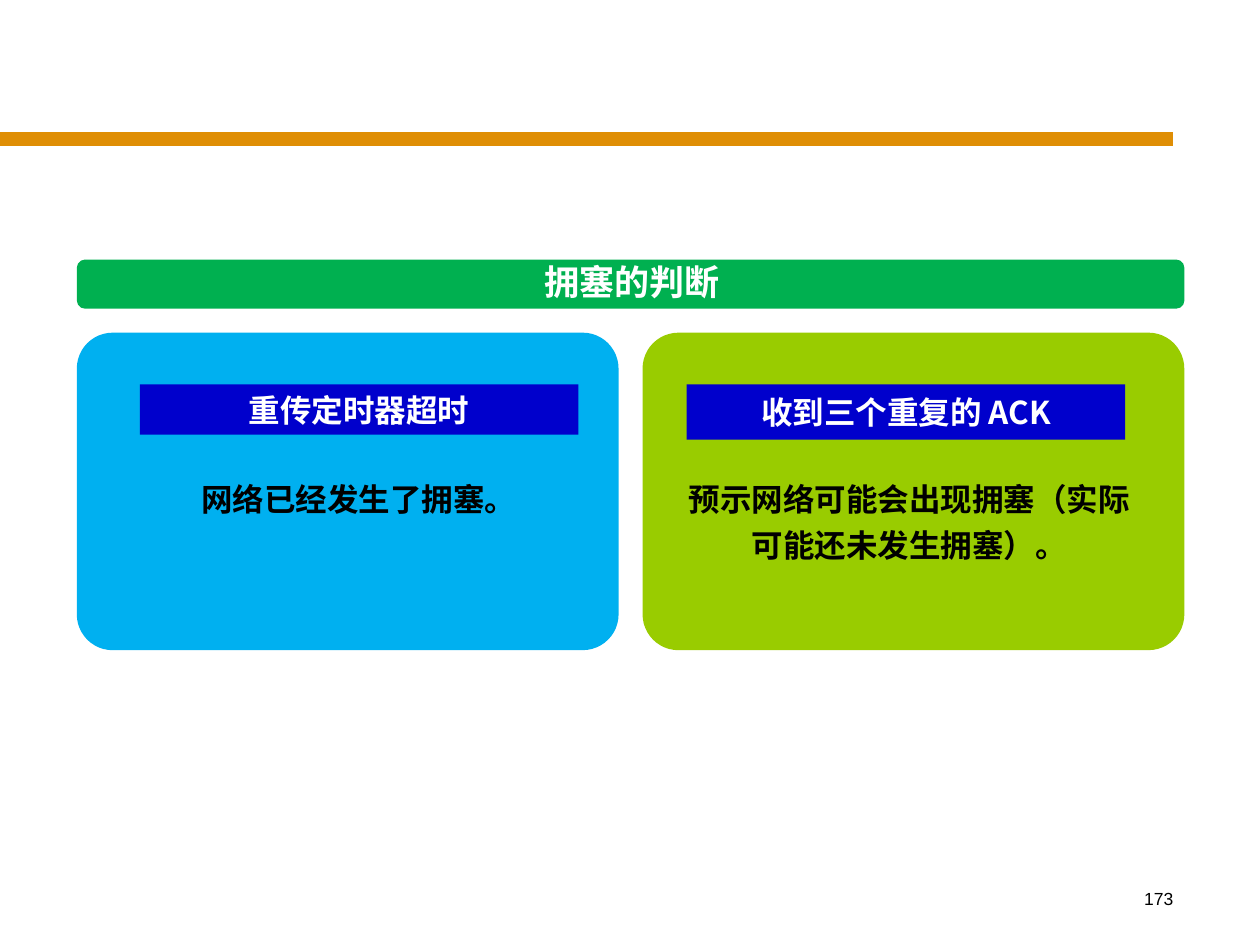
from pptx import Presentation
from pptx.dml.color import RGBColor
from pptx.enum.shapes import MSO_CONNECTOR, MSO_SHAPE
from pptx.enum.text import MSO_ANCHOR, PP_ALIGN
from pptx.oxml.xmlchemy import OxmlElement
from pptx.util import Inches, Pt

ROUNDED, RECTANGLE = MSO_SHAPE.ROUNDED_RECTANGLE, MSO_SHAPE.RECTANGLE
CENTER, RIGHT = PP_ALIGN.CENTER, PP_ALIGN.RIGHT
TOP, MIDDLE = MSO_ANCHOR.TOP, MSO_ANCHOR.MIDDLE

ORANGE = RGBColor(0xDF, 0x8E, 0x05)
GREEN = RGBColor(0x00, 0xB0, 0x50)
SKY = RGBColor(0x00, 0xB0, 0xF0)
LIME = RGBColor(0x99, 0xCC, 0x00)
BLUE = RGBColor(0x00, 0x00, 0xCC)
WHITE = RGBColor(0xFF, 0xFF, 0xFF)
BLACK = RGBColor(0x00, 0x00, 0x00)
CHINESE = "Noto Sans CJK SC"

LEFT, GAP, PANEL_WIDTH = 0.61, 0.19, 4.3
BANNER_WIDTH = 2 * PANEL_WIDTH + GAP


def add_block(kind, left, top, width, height, fill, corner=None):
    shape = slide.shapes.add_shape(
        kind, Inches(left), Inches(top), Inches(width), Inches(height))
    shape.shadow.inherit = False
    shape.fill.solid()
    shape.fill.fore_color.rgb = fill
    shape.line.fill.background()
    if corner is not None:
        shape.adjustments[0] = corner
    return shape


def write(shape, text, size, color, font=CHINESE, bold=True, align=CENTER, anchor=TOP):
    frame = shape.text_frame
    frame.text = text
    frame.word_wrap = True
    frame.vertical_anchor = anchor
    paragraph = frame.paragraphs[0]
    paragraph.alignment = align
    run = paragraph.runs[0]
    run.font.size = Pt(size)
    run.font.bold = bold
    run.font.color.rgb = color
    run.font.name = font
    east_asian = OxmlElement("a:ea")
    east_asian.set("typeface", font)
    run.font._element.append(east_asian)
    return paragraph


presentation = Presentation()
presentation.slide_width, presentation.slide_height = Inches(10), Inches(7.5)
slide = presentation.slides.add_slide(presentation.slide_layouts[6])

rule = slide.shapes.add_connector(
    MSO_CONNECTOR.STRAIGHT, 0, Inches(1.1), Inches(9.31), Inches(1.1))
rule.line.color.rgb = ORANGE
rule.line.width = Pt(8)
rule._element.spPr.append(OxmlElement("a:effectLst"))

page_number = slide.shapes.add_textbox(Inches(7.33), Inches(7), Inches(2.08), Inches(0.5))
write(page_number, "173", 10, BLACK, font="Arial", bold=False, align=RIGHT)

add_block(ROUNDED, LEFT, 2.06, BANNER_WIDTH, 0.39, GREEN, 0.167)
heading = slide.shapes.add_textbox(Inches(4.22), Inches(2.02), Inches(1.59), Inches(0.44))
write(heading, "拥塞的判断", 20, WHITE)
heading.text_frame.word_wrap = False

# panel colour, label left, label height, label, text left, text height, text
panels = [
    (SKY, 1.11, 0.4, "重传定时器超时", 0.99, 0.46, "网络已经发生了拥塞。"),
    (LIME, 5.45, 0.44, "收到三个重复的 ACK", 5.36, 0.83,
     "预示网络可能会出现拥塞（实际可能还未发生拥塞）。"),
]
for column, (fill, label_left, label_height, label, text_left, text_height, text) in enumerate(panels):
    panel_left = LEFT + column * (PANEL_WIDTH + GAP)
    add_block(ROUNDED, panel_left, 2.64, PANEL_WIDTH, 2.52, fill, 0.113)
    label_box = add_block(RECTANGLE, label_left, 3.05, 3.48, label_height, BLUE)
    write(label_box, label, 18, WHITE, anchor=MIDDLE)
    text_box = slide.shapes.add_textbox(
        Inches(text_left), Inches(3.7), Inches(3.71), Inches(text_height))
    paragraph = write(text_box, text, 18, BLACK)
    paragraph.line_spacing = Pt(26)

presentation.save("out.pptx")
